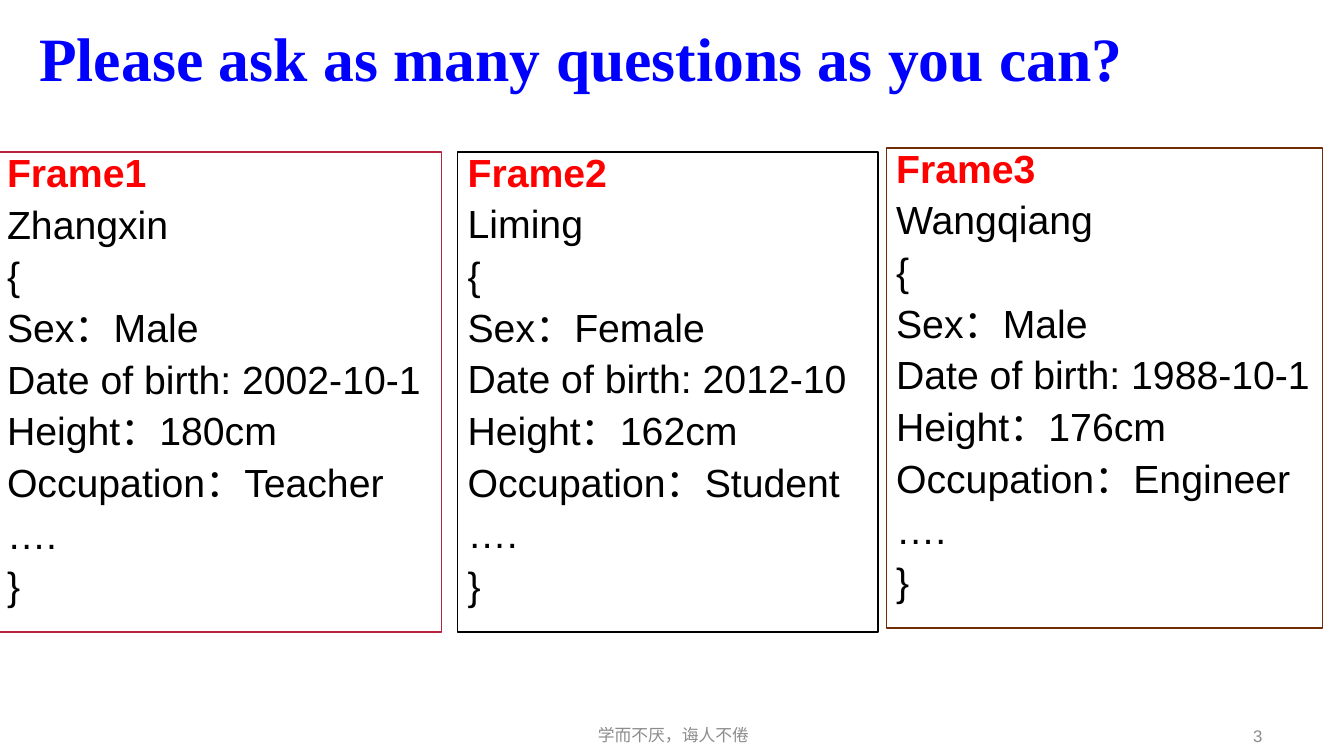
from dataclasses import dataclass
from typing import Any

import pptx
import pptx.dml.color
import pptx.enum.shapes
import pptx.enum.text
import pptx.util
from lxml import etree
from pptx.util import Inches

RGBColor = pptx.dml.color.RGBColor
Align = pptx.enum.text.PP_ALIGN
Anchor = pptx.enum.text.MSO_ANCHOR

BLUE = RGBColor(0x00, 0x00, 0xFF)
RED = RGBColor(0xFF, 0x00, 0x00)
BLACK = RGBColor(0x00, 0x00, 0x00)
WHITE = RGBColor(0xFF, 0xFF, 0xFF)
GRAY = RGBColor(0x8C, 0x8C, 0x8C)
CRIMSON = RGBColor(0xB8, 0x24, 0x3D)
BROWN = RGBColor(0x70, 0x2C, 0x07)

DRAWING = "http://schemas.openxmlformats.org/drawingml/2006/main"
HANGING = Inches(0.25)


@dataclass(frozen=True)
class Person:
    name: str
    sex: str
    birth: str
    height: str
    occupation: str
    left: float
    top: float
    width: float
    border: RGBColor

    def lines(self) -> list[str]:
        return [
            self.name,
            "{",
            f"Sex：{self.sex}",
            f"Date of birth: {self.birth}",
            f"Height：{self.height}",
            f"Occupation：{self.occupation}",
            "….",
            "}",
        ]


PEOPLE = [
    Person("Zhangxin", "Male", "2002-10-1", "180cm", "Teacher", -0.03, 1.51, 4.41, CRIMSON),
    Person("Liming", "Female", "2012-10", "162cm", "Student", 4.54, 1.51, 4.17, BLACK),
    Person("Wangqiang", "Male", "1988-10-1", "176cm", "Engineer", 8.79, 1.47, 4.33, BROWN),
]
FRAME_HEIGHT = 4.76


def place(shape: Any, left: float, top: float, width: float, height: float) -> None:
    shape.left, shape.top = Inches(left), Inches(top)
    shape.width, shape.height = Inches(width), Inches(height)


def prepare(shape: Any, anchor: Anchor) -> None:
    frame = shape.text_frame
    frame.word_wrap = True
    frame.auto_size = pptx.enum.text.MSO_AUTO_SIZE.NONE
    frame.vertical_anchor = anchor


def write(para: Any, text: str, *, size: float, color: RGBColor, font: str = "Arial",
          bold: bool = False, align: Align = Align.LEFT, spacing: float = 1.0,
          before: float = 0, hanging: bool = False) -> None:
    para.alignment = align
    para.line_spacing = spacing
    para.space_before = pptx.util.Pt(before)
    if hanging:
        properties = para._p.get_or_add_pPr()
        properties.set("marL", str(HANGING))
        properties.set("indent", str(-HANGING))
        etree.SubElement(properties, f"{{{DRAWING}}}buNone")
    span = para.add_run()
    span.text = text
    span.font.name = font
    span.font.size = pptx.util.Pt(size)
    span.font.bold = bold
    span.font.color.rgb = color


def fill_frame(box: Any, number: int, person: Person) -> None:
    place(box, person.left, person.top, person.width, FRAME_HEIGHT)
    box.fill.solid()
    box.fill.fore_color.rgb = WHITE
    box.line.color.rgb = person.border
    box.line.width = pptx.util.Pt(1)
    prepare(box, Anchor.TOP)
    write(box.text_frame.paragraphs[0], f"Frame{number}", size=28, color=RED,
          bold=True, spacing=0.8, hanging=True)
    for line in person.lines():
        write(box.text_frame.add_paragraph(), line, size=28, color=BLACK,
              spacing=0.8, before=10, hanging=True)


def add_footer(page: Any, text: str, left: float, top: float, width: float,
               align: Align) -> None:
    box = page.shapes.add_textbox(Inches(left), Inches(top), Inches(width), Inches(0.4))
    prepare(box, Anchor.MIDDLE)
    write(box.text_frame.paragraphs[0], text, size=12, color=GRAY, align=align)


def main() -> None:
    deck = pptx.Presentation()
    deck.slide_width, deck.slide_height = Inches(13.33), Inches(7.5)
    page = deck.slides.add_slide(deck.slide_layouts[1])

    # Title
    title = page.shapes.title
    place(title, 0.29, -0.11, 12.13, 1.45)
    prepare(title, Anchor.MIDDLE)
    write(title.text_frame.paragraphs[0], "Please ask as many questions as you can?",
          size=44, color=BLUE, font="Times New Roman", bold=True, spacing=0.9)

    # Frames: the first is the body placeholder
    for number, person in enumerate(PEOPLE, start=1):
        if number == 1:
            box = page.placeholders[1]
        else:
            box = page.shapes.add_shape(pptx.enum.shapes.MSO_SHAPE.RECTANGLE, 0, 0, 0, 0)
            box.shadow.inherit = False
        fill_frame(box, number, person)

    # Footer
    add_footer(page, "学而不厌，诲人不倦", 4.43, 7.09, 4.5, Align.CENTER)
    add_footer(page, "3", 9.62, 7.1, 3, Align.RIGHT)

    deck.save("out.pptx")


if __name__ == "__main__":
    main()
